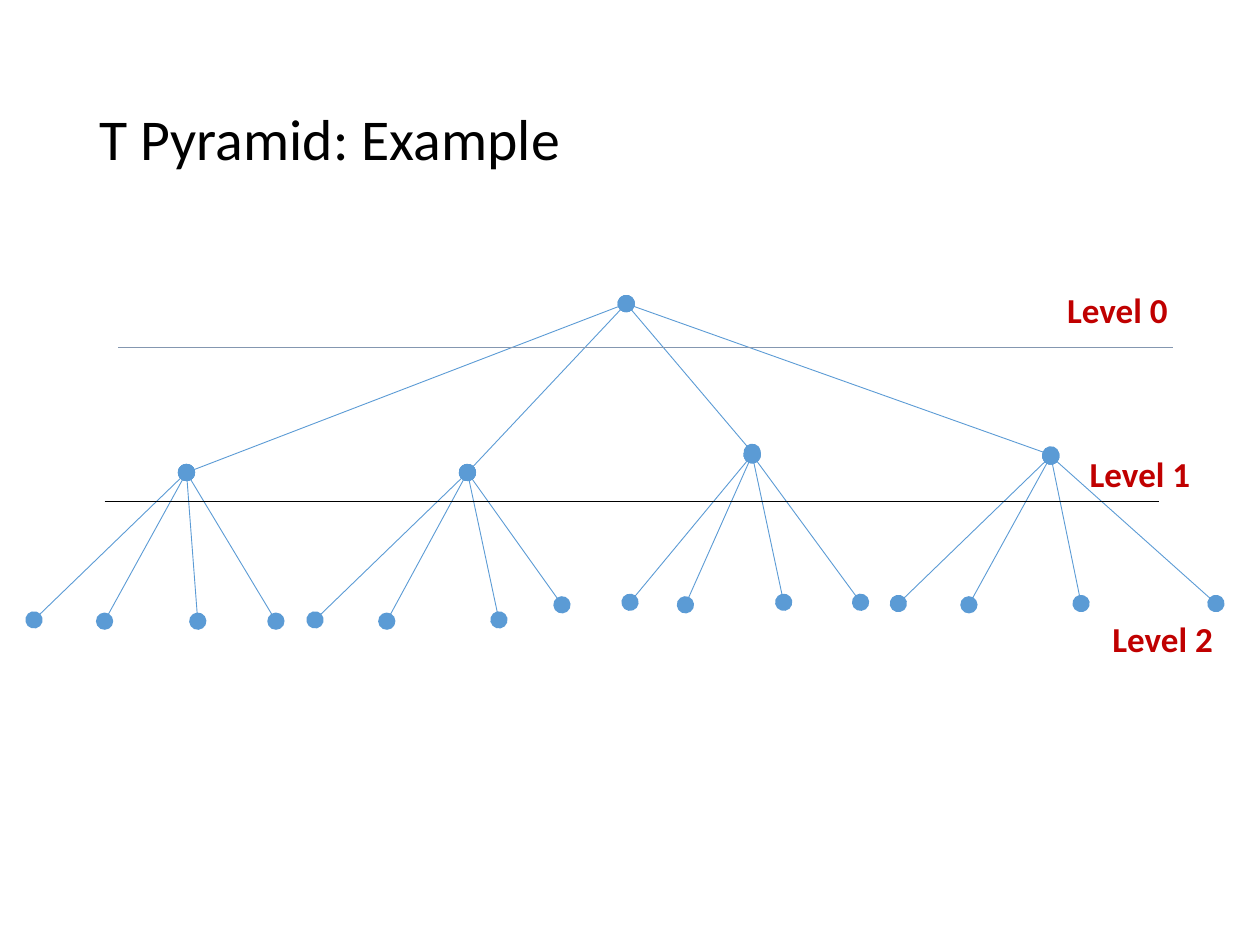
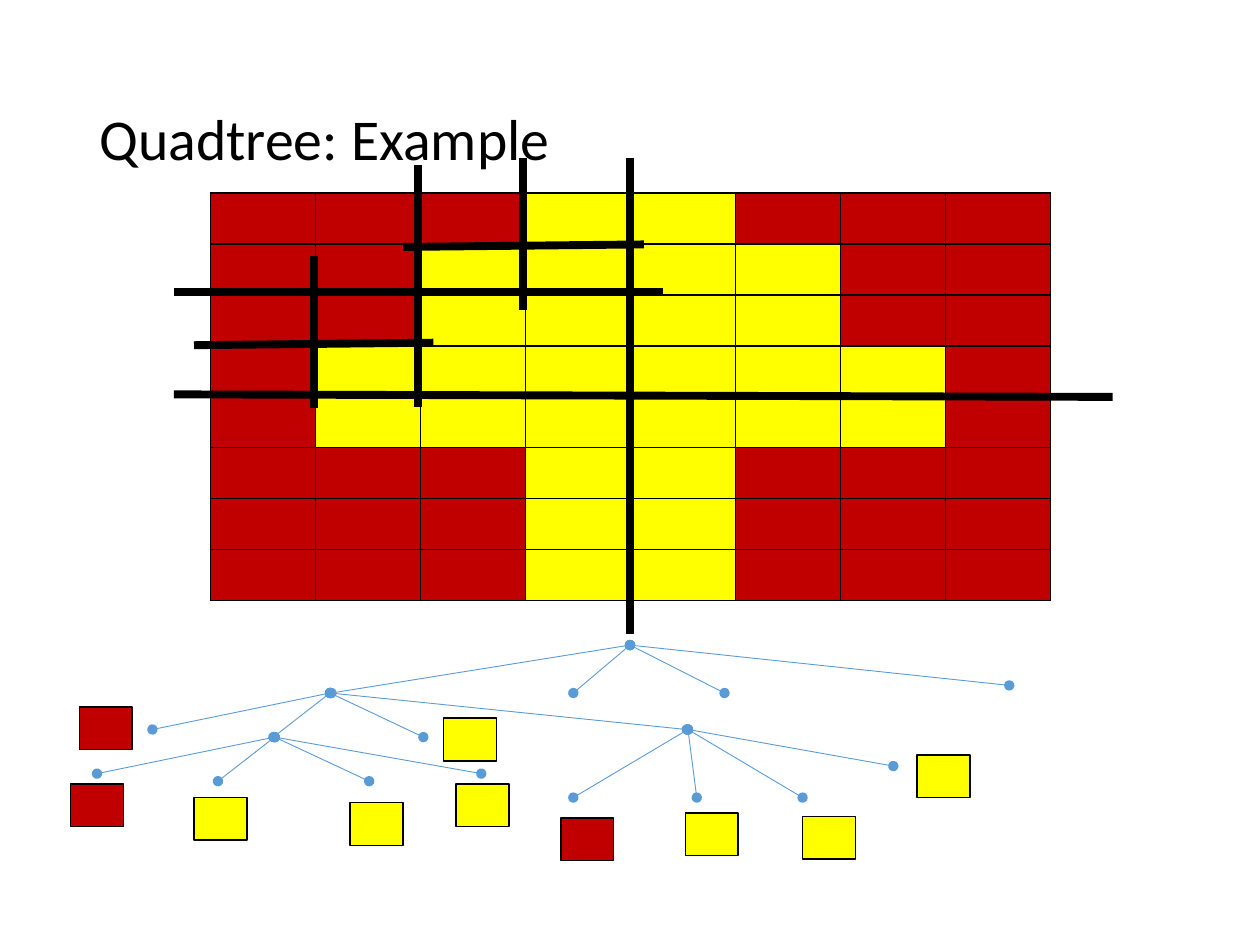
from lxml.etree import SubElement
from pptx import Presentation
from pptx.dml.color import RGBColor
from pptx.enum.shapes import MSO_CONNECTOR, MSO_SHAPE
from pptx.enum.text import MSO_ANCHOR, MSO_AUTO_SIZE, PP_ALIGN
from pptx.oxml import parse_xml
from pptx.oxml.ns import nsdecls, qn
from pptx.util import Inches, Pt

BLACK = RGBColor(0x00, 0x00, 0x00)
BLUE = RGBColor(0x5B, 0x9B, 0xD5)
GREY = RGBColor(0x84, 0x97, 0xB0)
RED = RGBColor(0xC0, 0x00, 0x00)
YELLOW = RGBColor(0xFF, 0xFF, 0x00)

FONT = "Calibri"
SLIDE_WIDTH = Inches(10)
SLIDE_HEIGHT = Inches(7.5)
GRID_COLUMNS = 1000
GRID_ROWS = 750
TITLE_ONLY = 5

LEVEL_ONE_FANS = [
    ((497, 241), [(148, 375), (371, 375), (597, 359), (834, 361)]),
    ((148, 375), [(27, 492), (83, 493), (157, 493), (219, 493)]),
    ((597, 361), [(500, 478), (544, 480), (622, 478), (683, 478)]),
    ((834, 362), [(713, 479), (769, 480), (858, 479), (965, 479)]),
    ((371, 375), [(250, 492), (307, 493), (396, 492), (446, 480)]),
]
QUADTREE_FANS = [
    ((500, 512), [(263, 550), (455, 550), (575, 550), (801, 544)]),
    ((262, 550), [(121, 579), (217, 585), (336, 585), (545, 579)]),
    ((218, 585), [(77, 614), (173, 620), (293, 620), (382, 614)]),
    ((546, 579), [(455, 633), (553, 633), (637, 633), (709, 608)]),
]
LEAVES = [
    (63, 561, RED), (56, 622, RED), (154, 633, YELLOW), (278, 637, YELLOW),
    (362, 622, YELLOW), (352, 570, YELLOW), (445, 649, RED),
    (544, 645, YELLOW), (637, 648, YELLOW), (728, 599, YELLOW),
]
MAIN_CUTS = [
    ((500, 125), (500, 503)), ((138, 313), (883, 315)),
    ((332, 131), (332, 323)), ((138, 232), (526, 232)),
]
SMALL_CUTS = [
    ((415, 125), (415, 246)), ((320, 196), (511, 194)),
    ((249, 203), (249, 324)), ((154, 274), (344, 272)),
]
YELLOW_SPANS = [(3, 5), (2, 6), (2, 6), (1, 7), (1, 7), (3, 5), (3, 5), (3, 5)]
CELLS_PER_SIDE = 8


def across(columns):
    return round(SLIDE_WIDTH * columns / GRID_COLUMNS)


def down(rows):
    return round(SLIDE_HEIGHT * rows / GRID_ROWS)


def box(left, top, width, height):
    return across(left), down(top), across(width), down(height)


def add_run(paragraph, text, size, color, bold=False):
    run = paragraph.add_run()
    run.text = text
    run.font.name = FONT
    run.font.size = Pt(size)
    run.font.bold = bold
    run.font.color.rgb = color


def add_titled_slide(presentation, text):
    slide = presentation.slides.add_slide(presentation.slide_layouts[TITLE_ONLY])
    title = slide.shapes.title
    title.left, title.top, title.width, title.height = box(69, 40, 862, 145)
    frame = title.text_frame
    frame.auto_size = MSO_AUTO_SIZE.NONE
    frame.vertical_anchor = MSO_ANCHOR.MIDDLE
    paragraph = frame.paragraphs[0]
    paragraph.alignment = PP_ALIGN.LEFT
    paragraph.line_spacing = 0.9
    add_run(paragraph, text, 33, BLACK)
    return slide


def add_line(shapes, start, end, color, width, dot_size=None):
    connector = shapes.add_connector(
        MSO_CONNECTOR.STRAIGHT,
        across(start[0]), down(start[1]), across(end[0]), down(end[1]),
    )
    connector.line.color.rgb = color
    connector.line.width = Pt(width)
    if dot_size:
        outline = connector.line._get_or_add_ln()
        for tag in ("a:headEnd", "a:tailEnd"):
            SubElement(outline, qn(tag), type="oval", w=dot_size, len=dot_size)
    SubElement(connector._element.spPr, qn("a:effectLst"))


def add_fan(shapes, parent, children, dot_size):
    for child in children:
        add_line(shapes, parent, child, BLUE, 0.5, dot_size)


def add_cuts(shapes, cuts):
    for start, end in cuts:
        add_line(shapes, start, end, BLACK, 4.5)


def add_level_label(slide, text, left, top):
    label = slide.shapes.add_textbox(*box(left, top, 101, 44))
    label.text_frame.word_wrap = False
    label.text_frame.auto_size = MSO_AUTO_SIZE.SHAPE_TO_FIT_TEXT
    add_run(label.text_frame.paragraphs[0], text, 20, RED, bold=True)


def add_leaf(shapes, left, top, color):
    leaf = shapes.add_shape(MSO_SHAPE.RECTANGLE, *box(left, top, 42, 34))
    leaf.shadow.inherit = False
    leaf.fill.solid()
    leaf.fill.fore_color.rgb = color
    leaf.line.color.rgb = BLACK
    leaf.line.width = Pt(1)


def add_cell_borders(cell):
    properties = cell._tc.get_or_add_tcPr()
    for position, side in enumerate(("lnL", "lnR", "lnT", "lnB")):
        border = parse_xml(
            f'<a:{side} {nsdecls("a")} w="{Pt(1)}"><a:solidFill>'
            f'<a:srgbClr val="{BLACK}"/></a:solidFill></a:{side}>'
        )
        properties.insert(position, border)


def add_region_table(slide):
    frame = slide.shapes.add_table(
        CELLS_PER_SIDE, CELLS_PER_SIDE, *box(167, 153, 667, 324)
    )
    table = frame.table
    table.first_row = False
    table.horz_banding = False
    for row, (first, end) in enumerate(YELLOW_SPANS):
        for column in range(CELLS_PER_SIDE):
            cell = table.cell(row, column)
            cell.margin_top = cell.margin_bottom = 0
            cell.fill.solid()
            cell.fill.fore_color.rgb = YELLOW if first <= column < end else RED
            add_cell_borders(cell)


def build_pyramid_slide(presentation):
    slide = add_titled_slide(presentation, "T Pyramid: Example")
    for parent, children in LEVEL_ONE_FANS:
        add_fan(slide.shapes, parent, children, "lg")
    add_line(slide.shapes, (94, 276), (931, 276), GREY, 0.5)
    add_line(slide.shapes, (83, 398), (920, 398), BLACK, 0.5)
    for level, top in enumerate((224, 354, 485)):
        add_level_label(slide, f"Level {level}", 837 + 18 * level, top)


def build_quadtree_slide(presentation):
    slide = add_titled_slide(presentation, "Quadtree: Example")
    add_region_table(slide)
    root, *branches = QUADTREE_FANS
    add_fan(slide.shapes.add_group_shape().shapes, *root, "med")
    add_cuts(slide.shapes, MAIN_CUTS)
    for parent, children in branches:
        add_fan(slide.shapes.add_group_shape().shapes, parent, children, "med")
    for left, top, color in LEAVES:
        add_leaf(slide.shapes, left, top, color)
    add_cuts(slide.shapes, SMALL_CUTS)


def main():
    presentation = Presentation()
    presentation.slide_width = SLIDE_WIDTH
    presentation.slide_height = SLIDE_HEIGHT
    build_pyramid_slide(presentation)
    build_quadtree_slide(presentation)
    presentation.save("out.pptx")


main()
